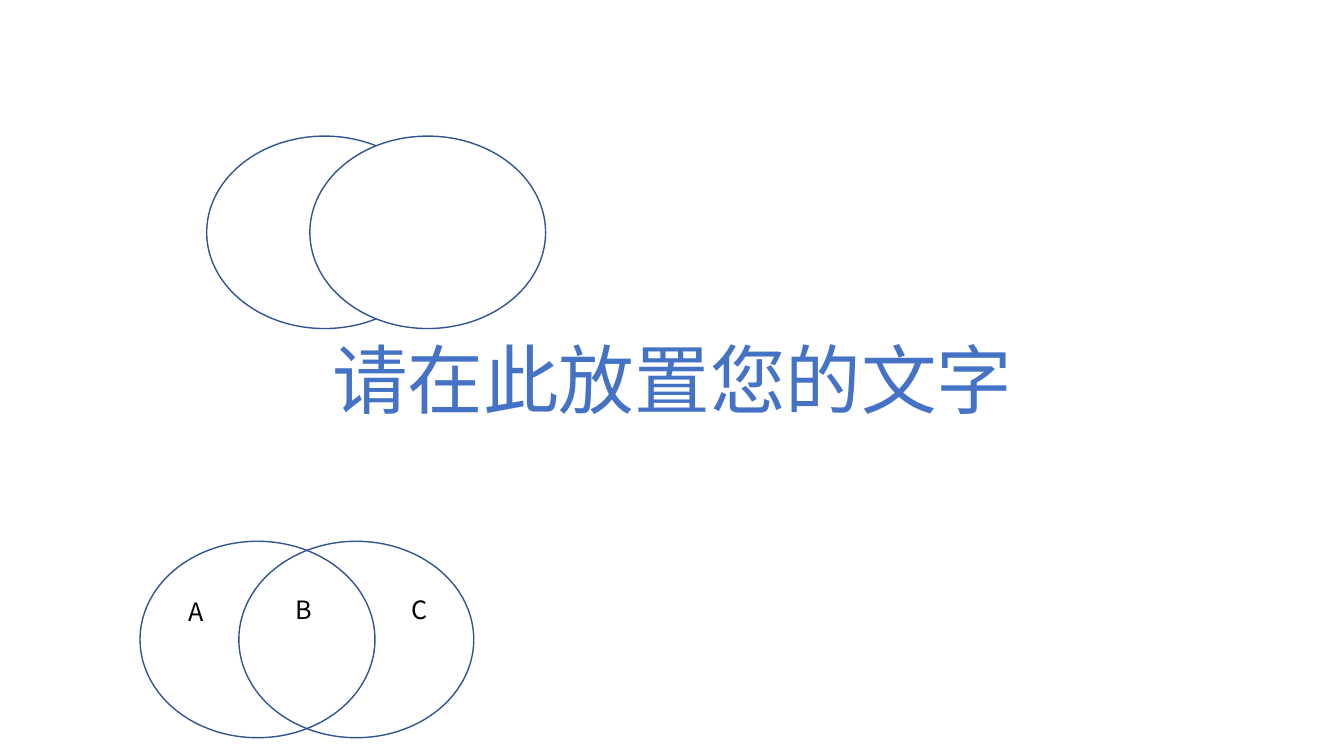
from lxml import etree
from pptx import Presentation
from pptx.dml.color import RGBColor
from pptx.enum.shapes import MSO_SHAPE
from pptx.enum.text import MSO_AUTO_SIZE, PP_ALIGN
from pptx.oxml.ns import qn
from pptx.util import Cm, Pt

OVAL = MSO_SHAPE.OVAL
GROW = MSO_AUTO_SIZE.SHAPE_TO_FIT_TEXT
LEFT, CENTER = PP_ALIGN.LEFT, PP_ALIGN.CENTER

WHITE = RGBColor(0xFF, 0xFF, 0xFF)
BLACK = RGBColor(0x00, 0x00, 0x00)
BLUE = RGBColor(0x44, 0x72, 0xC4)
NAVY = RGBColor(0x32, 0x54, 0x91)
FONT = "Noto Sans CJK SC"


def add_text(slide, text, left, top, width, height, size=18, color=BLACK,
             align=LEFT, wrap=True):
    box = slide.shapes.add_textbox(Cm(left), Cm(top), Cm(width), Cm(height))
    frame = box.text_frame
    frame.word_wrap = wrap
    frame.auto_size = GROW
    para = frame.paragraphs[0]
    para.alignment = align
    run = para.add_run()
    run.text = text
    font = run.font
    font.name = FONT
    font.size = Pt(size)
    font.color.rgb = color
    # Chinese glyphs take the East Asian typeface
    etree.SubElement(run._r.get_or_add_rPr(), qn("a:ea"), typeface=FONT)


def add_pair(slide, left, top, width, height, step, fill=None):
    """Two overlapping ovals, the second moved right by step."""
    for i in range(2):
        oval = slide.shapes.add_shape(
            OVAL, Cm(left + i * step), Cm(top), Cm(width), Cm(height))
        oval.shadow.inherit = False
        if fill is None:
            oval.fill.background()
        else:
            oval.fill.solid()
            oval.fill.fore_color.rgb = fill
        oval.line.color.rgb = NAVY
        oval.line.width = Pt(1)


def main():
    deck = Presentation()
    deck.slide_width, deck.slide_height = Cm(33.87), Cm(19.05)
    slide = deck.slides.add_slide(deck.slide_layouts[6])

    # Filled ovals above, open Venn ovals below
    add_pair(slide, 5.21, 3.43, 5.94, 4.85, step=2.6, fill=WHITE)
    add_pair(slide, 3.53, 13.64, 5.92, 4.95, step=2.49)

    # Heading
    add_text(slide, "请在此放置您的文字", 8.03, 8.26, 17.83, 2.57,
             size=54, color=BLUE, align=CENTER, wrap=False)

    # Labels of the Venn regions
    for name, left, top in (("A", 4.5, 14.91), ("B", 7.21, 14.86),
                            ("C", 10.13, 14.86)):
        add_text(slide, name, left, top, 1.27, 1.02)

    deck.save("out.pptx")


if __name__ == "__main__":
    main()
